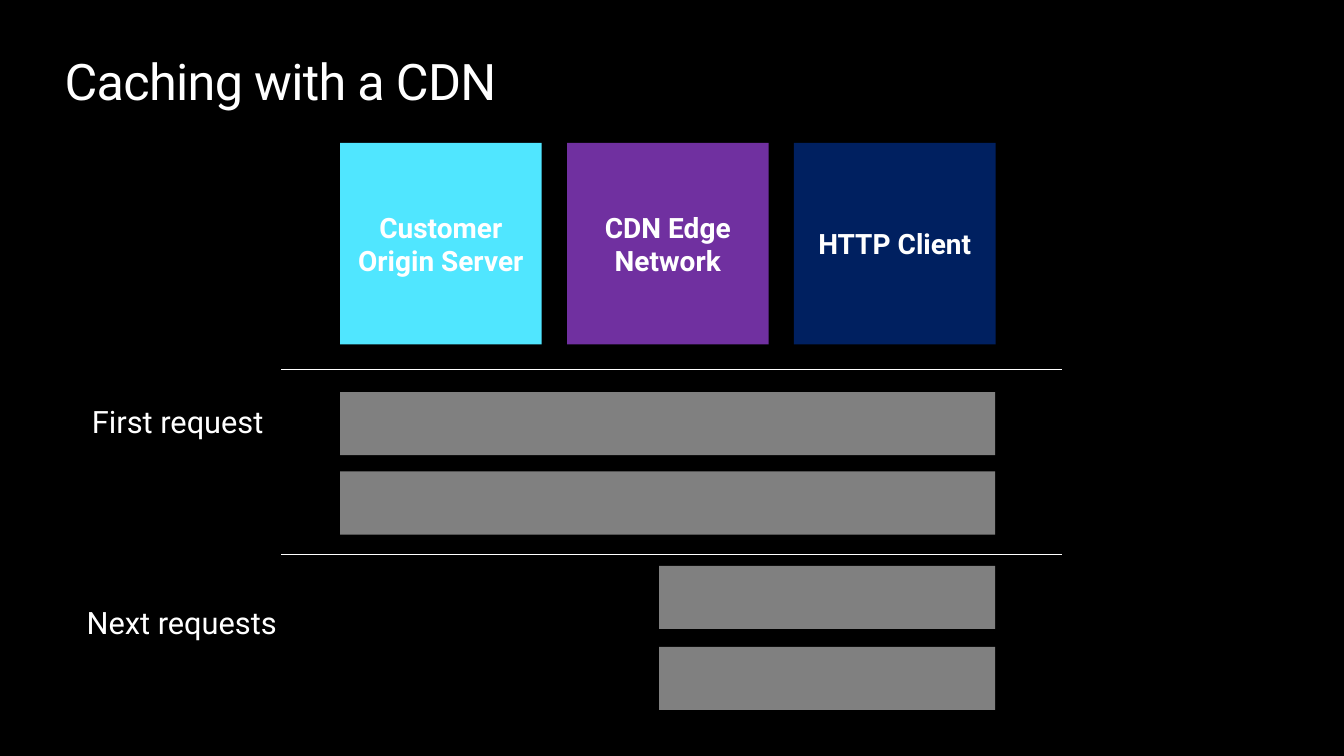
from dataclasses import dataclass

from lxml import etree
from pptx import Presentation
from pptx.dml.color import RGBColor
from pptx.enum.shapes import MSO_CONNECTOR, MSO_SHAPE
from pptx.enum.text import MSO_ANCHOR, PP_ALIGN
from pptx.oxml.ns import qn
from pptx.util import Cm, Pt

RECTANGLE = MSO_SHAPE.RECTANGLE
STRAIGHT = MSO_CONNECTOR.STRAIGHT
TOP, MIDDLE = MSO_ANCHOR.TOP, MSO_ANCHOR.MIDDLE
LEFT, CENTER = PP_ALIGN.LEFT, PP_ALIGN.CENTER
TITLE_ONLY = 5


@dataclass(frozen=True)
class Theme:
    font: str = "Roboto"
    background: str = "000000"
    text: str = "FFFFFF"
    bar: str = "808080"
    origin: str = "50E6FF"
    edge: str = "7030A0"
    client: str = "002060"
    title_size: int = 36
    label_size: int = 22
    tile_size: int = 20


THEME = Theme()

# Shared geometry in centimetres
TILE_LEFT, TILE_TOP, TILE_SIDE, TILE_PITCH = 8.57, 3.6, 5.08, 5.72
BARS_RIGHT, BAR_HEIGHT = 25.08, 1.59
LONG_BAR, SHORT_BAR = 16.51, 8.47


def color(code):
    return RGBColor.from_string(code)


def write(shape, text, size, align, anchor, margins=(0, 0), bold=False):
    frame = shape.text_frame
    frame.word_wrap = True
    frame.vertical_anchor = anchor
    frame.margin_left = frame.margin_right = Cm(margins[0])
    frame.margin_top = frame.margin_bottom = Cm(margins[1])
    para = frame.paragraphs[0]
    para.alignment = align
    span = para.add_run()
    span.text = text
    span.font.name = THEME.font
    span.font.size = Pt(size)
    span.font.bold = bold
    span.font.color.rgb = color(THEME.text)
    return para, span


def set_title(page, text):
    title = page.shapes.title
    title.left, title.top = Cm(1.63), Cm(1.27)
    title.width, title.height = Cm(30.61), Cm(1.55)
    _, span = write(title, text, THEME.title_size, LEFT, TOP)
    span.font._element.set("spc", "-50")


def add_label(page, text, left, top):
    box = page.shapes.add_textbox(Cm(left), Cm(top), Cm(7.44), Cm(1.78))
    para, _ = write(box, text, THEME.label_size, CENTER, TOP, (0.51, 0.41))
    para.space_after = Pt(6)


def add_block(page, left, top, width, height, fill):
    block = page.shapes.add_shape(
        RECTANGLE, Cm(left), Cm(top), Cm(width), Cm(height))
    block.shadow.inherit = False
    block.fill.solid()
    block.fill.fore_color.rgb = color(fill)
    block.line.fill.background()
    return block


def add_tile(page, column, text, fill):
    left = TILE_LEFT + column * TILE_PITCH
    tile = add_block(page, left, TILE_TOP, TILE_SIDE, TILE_SIDE, fill)
    write(tile, text, THEME.tile_size, CENTER, MIDDLE, (0, 0.13), bold=True)


def add_bar(page, top, width, rotation):
    bar = add_block(page, BARS_RIGHT - width, top, width, BAR_HEIGHT, THEME.bar)
    bar.rotation = rotation


def add_divider(page, top):
    divider = page.shapes.add_connector(
        STRAIGHT, Cm(7.09), Cm(top), Cm(26.77), Cm(top))
    divider.line.color.rgb = color(THEME.text)
    divider.line.width = Pt(0.75)
    etree.SubElement(divider._element.spPr, qn("a:effectLst"))


def main():
    deck = Presentation()
    deck.slide_width, deck.slide_height = Cm(33.87), Cm(19.05)
    page = deck.slides.add_slide(deck.slide_layouts[TITLE_ONLY])
    page.background.fill.solid()
    page.background.fill.fore_color.rgb = color(THEME.background)

    # Title and row labels
    set_title(page, "Caching with a CDN")
    add_label(page, "First request", 0.76, 9.75)
    add_label(page, "Next requests", 0.86, 14.81)

    # Participants
    tiles = [
        ("Customer Origin Server", THEME.origin),
        ("CDN Edge Network", THEME.edge),
        ("HTTP Client", THEME.client),
    ]
    for column, (text, fill) in enumerate(tiles):
        add_tile(page, column, text, fill)

    # Request bars, each followed by its reversed response bar
    for request_top, response_top, width in [
        (9.88, 11.88, LONG_BAR),
        (14.26, 16.3, SHORT_BAR),
    ]:
        add_bar(page, request_top, width, 0)
        add_bar(page, response_top, width, 180)

    # Lines above each row
    for top in (9.31, 13.97):
        add_divider(page, top)

    deck.save("out.pptx")


if __name__ == "__main__":
    main()
